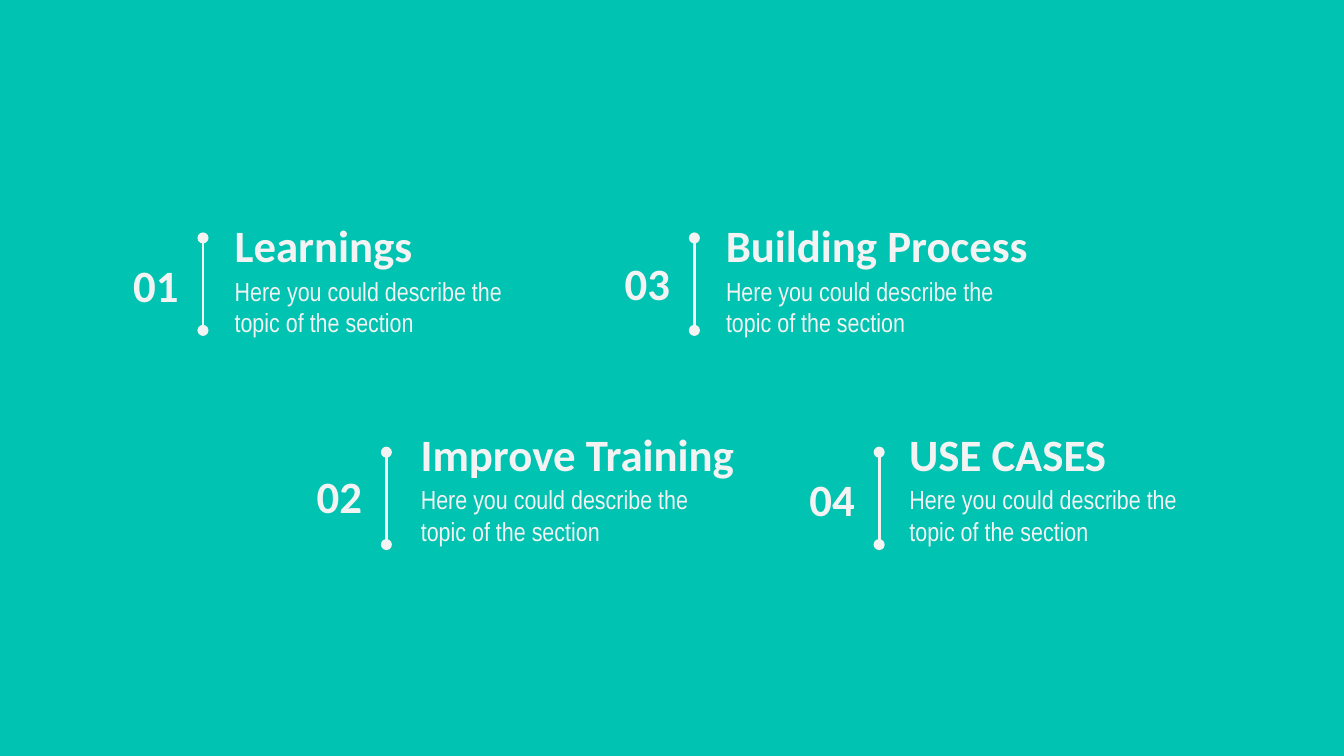
import pptx
import pptx.util
import pptx.dml.color
import pptx.enum.shapes
import pptx.enum.text
import pptx.oxml
import pptx.oxml.ns
import lxml.etree

PX = 9525  # 96 px to the inch
HUES = {"back": "00C3B1", "ink": "F3F3F3"}
INK = pptx.dml.color.RGBColor.from_string(HUES["ink"])
ALIGN = pptx.enum.text.PP_ALIGN
ANCHOR = pptx.enum.text.MSO_ANCHOR
HEAD = {"name": "Calibri", "size": pptx.util.Pt(24), "bold": True}
BODY = {"name": "Arial Narrow", "size": pptx.util.Pt(14), "bold": False}


def put(shape, box, text, style, align=ALIGN.LEFT, anchor=ANCHOR.MIDDLE, after=0):
    """Place a text shape and format its only paragraph."""
    for key, value in zip(("left", "top", "width", "height"), box):
        setattr(shape, key, value * PX)
    frame = shape.text_frame
    look = {"word_wrap": True, "vertical_anchor": anchor,
            "auto_size": pptx.enum.text.MSO_AUTO_SIZE.NONE}
    for side in ("left", "top", "right", "bottom"):
        look["margin_" + side] = pptx.util.Inches(0.1)
    for key, value in look.items():
        setattr(frame, key, value)
    frame.text = text
    para = frame.paragraphs[0]
    para.alignment = align
    para.space_before = pptx.util.Pt(0)
    para.space_after = pptx.util.Pt(after)
    props = para._p.get_or_add_pPr()
    props.set("marL", "0")
    props.set("indent", "0")
    lxml.etree.SubElement(props, pptx.oxml.ns.qn("a:buNone"))
    for key, value in style.items():
        setattr(para.font, key, value)
    para.font.color.rgb = INK


deck = pptx.Presentation()
deck.slide_width, deck.slide_height = 960 * PX, 540 * PX

# Comparison layout: one title and four text bodies
slide = deck.slides.add_slide(deck.slide_layouts[4])
fill = slide.background.fill
fill.solid()
fill.fore_color.rgb = pptx.dml.color.RGBColor.from_string(HUES["back"])
title = slide.shapes.title
notes = [p for p in slide.placeholders if p.placeholder_format.idx in (1, 2, 3, 4)]

# Number, heading, line x, line y, text x, text y, number y
parts = [
    ("01", "Learnings", 145, 170, 158, 153, 181),
    ("02", "Improve Training", 276, 323, 291, 302, 332),
    ("03", "Building Process", 496, 170, 509, 153, 180),
    ("04", "USE CASES", 628, 323, 640, 302, 334),
]

for note, (num, name, bar, top, left, high, mid) in zip(notes, parts):
    # Heading and its description
    head = title if num == "01" else slide.shapes.add_textbox(0, 0, PX, PX)
    put(head, (left, high, 246, 44), name, HEAD)
    put(note, (left, high + 34, 246, 68),
        "Here you could describe the topic of the section",
        BODY, anchor=ANCHOR.TOP, after=16)

    # Number
    label = slide.shapes.add_textbox(0, 0, PX, PX)
    put(label, (bar - 71, mid, 63, 44), num, HEAD, align=ALIGN.RIGHT)

    # Upright line with a dot at each end
    line = slide.shapes.add_connector(
        pptx.enum.shapes.MSO_CONNECTOR.STRAIGHT,
        bar * PX, top * PX, bar * PX, (top + 66) * PX)
    line.line.color.rgb = INK
    line.line.width = pptx.util.Pt(1.5)
    stroke = line.line._get_or_add_ln()
    for end in ("a:headEnd", "a:tailEnd"):
        lxml.etree.SubElement(stroke, pptx.oxml.ns.qn(end), type="oval")
    lxml.etree.SubElement(line._element.spPr, pptx.oxml.ns.qn("a:effectLst"))

# Remove placeholders left empty
for spare in list(slide.placeholders):
    if not spare.text_frame.text:
        spare._element.getparent().remove(spare._element)

deck.save("out.pptx")
